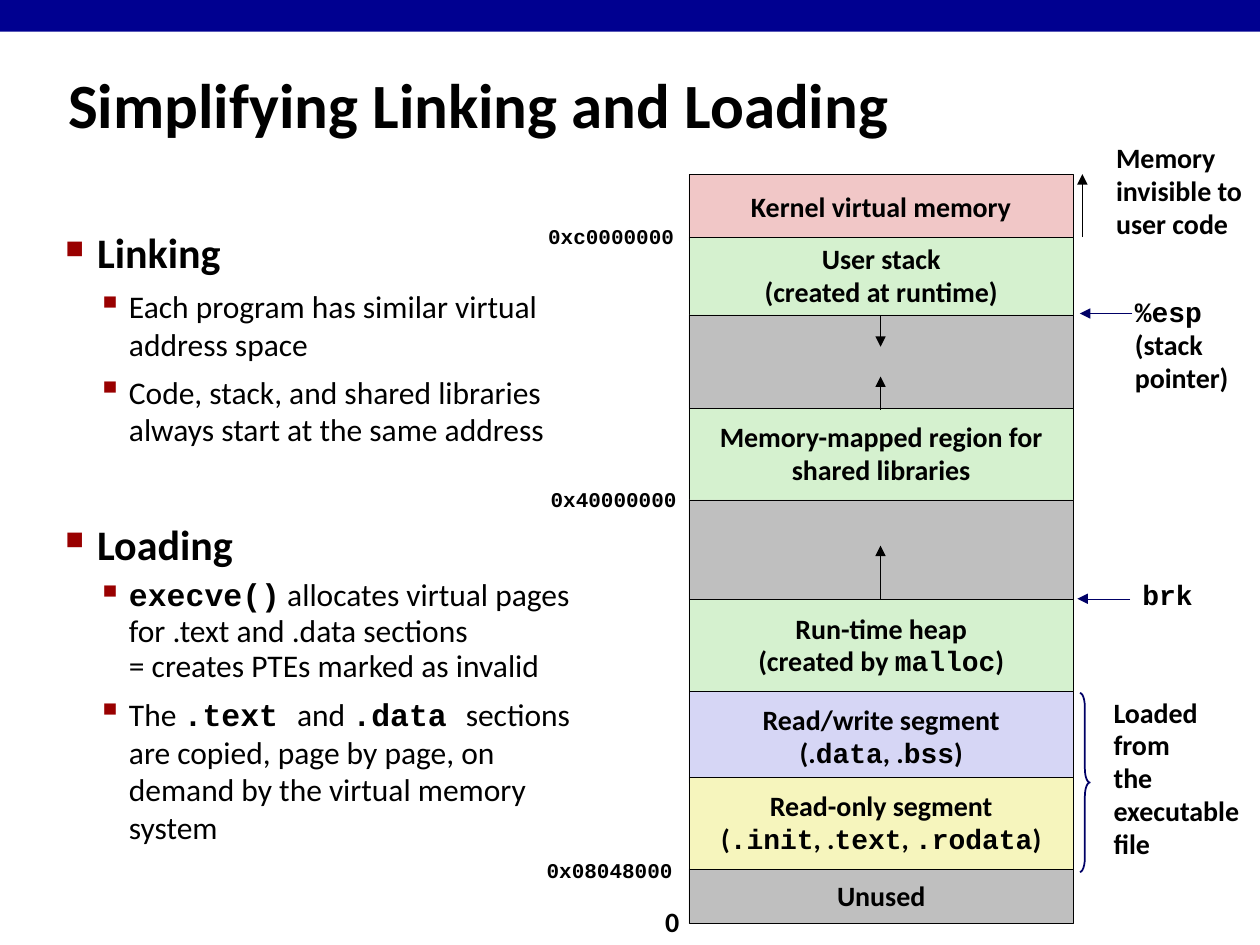
from lxml.etree import SubElement
from pptx import Presentation
from pptx.dml.color import RGBColor
from pptx.enum.shapes import MSO_CONNECTOR, MSO_SHAPE
from pptx.enum.text import MSO_ANCHOR, MSO_AUTO_SIZE, PP_ALIGN
from pptx.oxml.ns import qn
from pptx.util import Cm, Pt

BLACK, NAVY, GRAY, GREEN = "000000", "000066", "BFBFBF", "D5F1CF"
LEFT, WIDTH, MIDDLE = 13.89, 7.75, 17.75

# Memory map from the top down: top, height, fill, text; `marks` code
REGIONS = [
    (3.51, 1.35, "F1C7C7", "Kernel virtual memory"),
    (4.78, 1.57, GREEN, "User stack\n(created at runtime)"),
    (6.35, 1.88, GRAY, ""),
    (8.23, 1.85, GREEN, "Memory-mapped region for\nshared libraries"),
    (10.08, 2.01, GRAY, ""),
    (12.09, 1.85, GREEN, "Run-time heap\n(created by `malloc`)"),
    (13.94, 1.85, "D6D6F5", "Read/write segment\n(.`data`, .`bss`)"),
    (15.67, 1.85, "F6F5BD",
     "Read-only segment\n(`.init`, .`text`, `.rodata`)"),
    (17.52, 1.1, GRAY, "Unused"),
]
# left, top, width, height, size, text
LABELS = [
    (10.8, 4.42, 3.1, 0.74, 12, "`0xc0000000`"),
    (10.85, 9.73, 3.1, 0.74, 12, "`0x40000000`"),
    (10.77, 17.2, 3.1, 0.74, 12, "`0x08048000`"),
    (13.16, 18.14, 0.79, 0.91, 16, "0"),
    (22.25, 2.74, 3.15, 2.26, 16, "Memory\ninvisible to\nuser code"),
    (22.63, 5.87, 2.41, 2.24, 16, "`%esp`\n(stack\npointer)"),
    (22.78, 11.58, 1.52, 0.91, 16, "`brk`"),
    (22.2, 13.92, 3.2, 3.61, 16, "Loaded\nfrom\nthe\nexecutable\nfile"),
]
# start x, start y, end x, end y, colour
ARROWS = [
    (MIDDLE, 6.35, MIDDLE, 6.99, BLACK),
    (MIDDLE, 8.26, MIDDLE, 7.59, BLACK),
    (MIDDLE, 12.07, MIDDLE, 11, BLACK),
    (21.82, 4.78, 21.82, 3.51, BLACK),
    (22.83, 6.32, 21.77, 6.32, NAVY),
    (22.78, 12.07, 21.72, 12.07, NAVY),
]
# level, space before, text
POINTS = [
    (0, 0, "Linking"),
    (1, 5.6, "Each program has similar virtual address space"),
    (1, 5.6, "Code, stack, and shared libraries always start at the "
     "same address"),
    (0, 40, "Loading"),
    (1, 5.6, "`execve()` allocates virtual pages for .text and .data "
     "sections \v= creates PTEs marked as invalid"),
    (1, 5.6, "The `.text `and `.data `sections are copied, page by page, "
     "on demand by the virtual memory system"),
]


def color(code):
    return RGBColor.from_string(code)


def style(font, size, bold, face="Calibri"):
    font.name, font.size, font.bold = face, Pt(size), bold
    font.color.rgb = color(BLACK)


def write(para, text, size, bold, space):
    """Fill a paragraph; parts between backticks become bold code."""
    para.line_spacing = 0.94 if text.startswith("`") else space
    for i, part in enumerate(text.split("`")):
        if not part:
            continue
        code = i % 2 == 1
        head, *rest = part.split("\v")
        for j, line in enumerate([head] + rest):
            if j:
                para.add_line_break()
            run = para.add_run()
            run.text = line
            style(run.font, size, bold or code,
                  "Courier New" if code else "Calibri")


def add_lines(frame, text, size, align):
    frame.word_wrap = False
    for i, line in enumerate(text.split("\n")):
        para = frame.add_paragraph() if i else frame.paragraphs[0]
        para.alignment = align
        write(para, line, size, True, 0.98)


def add_block(slide, kind, box, fill=None, line=None, weight=0.25):
    shape = slide.shapes.add_shape(kind, *map(Cm, box))
    shape.shadow.inherit = False
    if fill:
        shape.fill.solid()
        shape.fill.fore_color.rgb = color(fill)
    else:
        shape.fill.background()
    if line:
        shape.line.color.rgb = color(line)
        shape.line.width = Pt(weight)
    else:
        shape.line.fill.background()
    return shape


def add_region(slide, top, height, fill, text):
    shape = add_block(slide, MSO_SHAPE.RECTANGLE, (LEFT, top, WIDTH, height),
                      fill, BLACK)
    if text:
        shape.text_frame.vertical_anchor = MSO_ANCHOR.MIDDLE
        add_lines(shape.text_frame, text, 16, PP_ALIGN.CENTER)


def add_label(slide, left, top, width, height, size, text):
    box = slide.shapes.add_textbox(*map(Cm, (left, top, width, height)))
    add_lines(box.text_frame, text, size, PP_ALIGN.LEFT)
    box.text_frame.auto_size = MSO_AUTO_SIZE.SHAPE_TO_FIT_TEXT


def add_arrow(slide, x1, y1, x2, y2, shade):
    arrow = slide.shapes.add_connector(
        MSO_CONNECTOR.STRAIGHT, *map(Cm, (x1, y1, x2, y2)))
    arrow.line.color.rgb = color(shade)
    arrow.line.width = Pt(0.25)
    SubElement(arrow.line._get_or_add_ln(), qn("a:tailEnd"), type="triangle")
    SubElement(arrow._element.spPr, qn("a:effectLst"))


def add_bullet(para, level):
    mark, scale = (("■", 60), ("▪", 110))[level]
    props = para._p.get_or_add_pPr()
    props.set("marL", str(Cm(0.64 * (level + 1))))
    props.set("indent", str(-Cm(0.64)))
    shade = SubElement(props, qn("a:buClr"))
    SubElement(shade, qn("a:srgbClr"), val="990000")
    SubElement(props, qn("a:buSzPct"), val=str(scale * 1000))
    SubElement(props, qn("a:buChar"), char=mark)


def add_points(slide):
    box = slide.shapes.add_textbox(Cm(1.07), Cm(4.45), Cm(11), Cm(13.28))
    frame = box.text_frame
    frame.word_wrap = True
    for i, (level, before, text) in enumerate(POINTS):
        para = frame.add_paragraph() if i else frame.paragraphs[0]
        para.level = level
        add_bullet(para, level)
        para.space_before = Pt(before)
        write(para, text, (24, 18)[level], level == 0, 1.0)


def set_title(slide, text):
    title = slide.shapes.title
    title.left, title.top = Cm(1.12), Cm(0.99)
    title.width, title.height = Cm(23.01), Cm(2.18)
    frame = title.text_frame
    frame.text = text
    frame.vertical_anchor = MSO_ANCHOR.MIDDLE
    para = frame.paragraphs[0]
    para.alignment = PP_ALIGN.LEFT
    style(para.runs[0].font, 36, True)


def main():
    deck = Presentation()
    deck.slide_width, deck.slide_height = Cm(25.4), Cm(19.05)
    slide = deck.slides.add_slide(deck.slide_layouts[5])
    add_block(slide, MSO_SHAPE.RECTANGLE, (0, 0, 25.4, 0.64), "000090")
    set_title(slide, "Simplifying Linking and Loading")
    add_points(slide)
    for region in REGIONS:
        add_region(slide, *region)
    for arrow in ARROWS:
        add_arrow(slide, *arrow)
    for label in LABELS:
        add_label(slide, *label)
    brace = add_block(slide, MSO_SHAPE.RIGHT_BRACE, (21.77, 13.97, 0.2, 3.61),
                      line=NAVY, weight=1)
    brace.adjustments[0] = 1.42
    deck.save("out.pptx")


if __name__ == "__main__":
    main()
